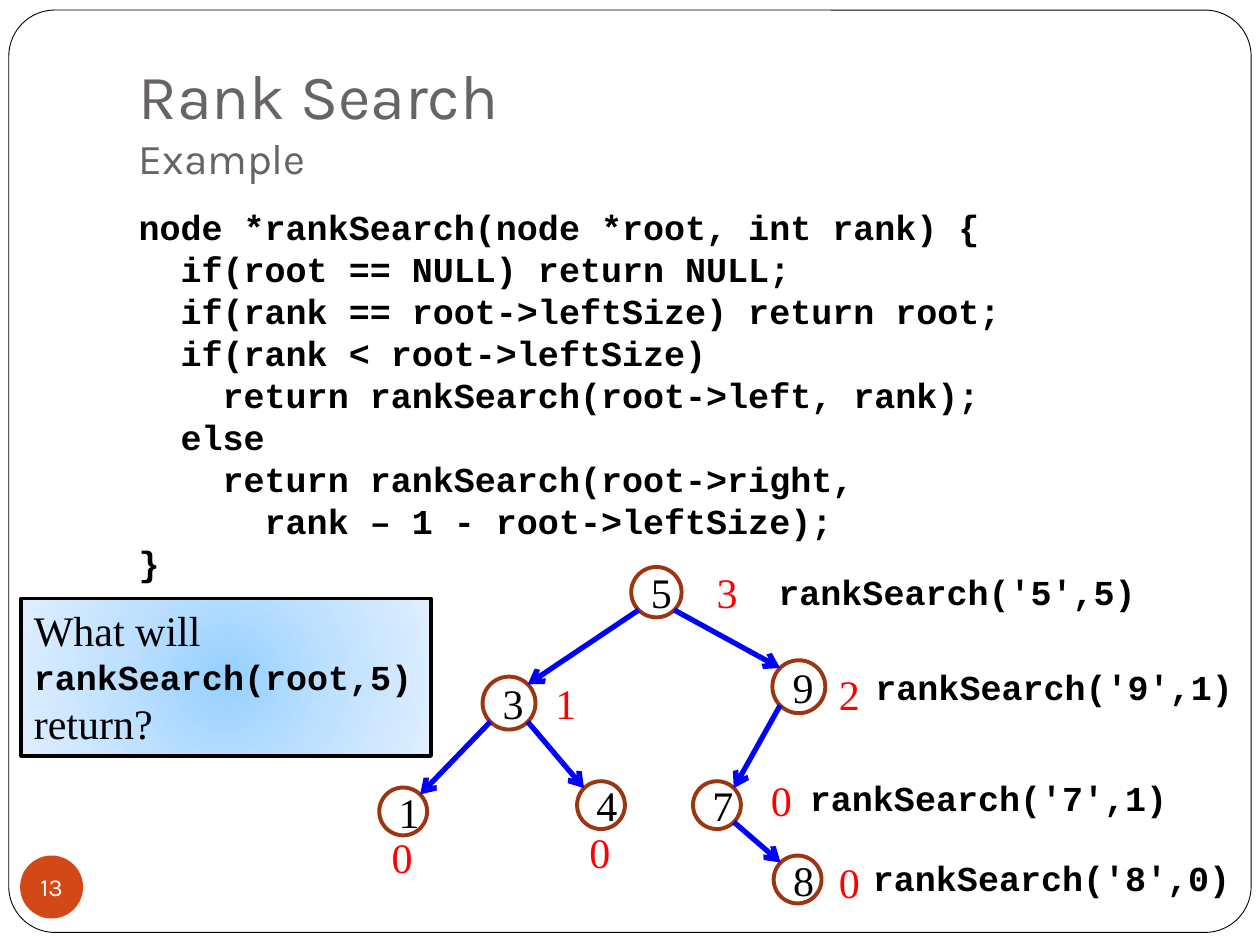
from math import sqrt

from lxml import etree
from pptx import Presentation
from pptx.dml.color import RGBColor
from pptx.enum.shapes import MSO_CONNECTOR, MSO_SHAPE
from pptx.enum.text import MSO_ANCHOR, MSO_AUTO_SIZE, PP_ALIGN
from pptx.oxml.ns import qn
from pptx.util import Inches, Pt

LINE = MSO_CONNECTOR.STRAIGHT
OVAL, RECT, ROUND = MSO_SHAPE.OVAL, MSO_SHAPE.RECTANGLE, MSO_SHAPE.ROUNDED_RECTANGLE
TOP, MIDDLE, BOTTOM = MSO_ANCHOR.TOP, MSO_ANCHOR.MIDDLE, MSO_ANCHOR.BOTTOM
LEFT, CENTER = PP_ALIGN.LEFT, PP_ALIGN.CENTER
GROW, FIXED = MSO_AUTO_SIZE.SHAPE_TO_FIT_TEXT, MSO_AUTO_SIZE.NONE

COLORS = {
    "black": "000000", "white": "FFFFFF", "title": "696464", "badge": "D34817",
    "node": "9C3511", "edge": "0000FF", "size": "FF0000",
}
GLOW = [(0, "96D0FF"), (50, "BFE1FF"), (100, "E0EFFF")]
SANS, SERIF, MONO = "Karla", "Times New Roman", "Courier New"

CODE = """node *rankSearch(node *root, int rank) {
  if(root == NULL) return NULL;
  if(rank == root->leftSize) return root;
  if(rank < root->leftSize)
    return rankSearch(root->left, rank);
  else
    return rankSearch(root->right,
      rank – 1 - root->leftSize);
}"""

# key: left, top, diameter
NODES = {
    "5": (5.01, 4.5, 0.4), "3": (3.83, 5.37, 0.42), "1": (3.01, 6.25, 0.38),
    "9": (6.13, 5.24, 0.42), "4": (4.58, 6.2, 0.38), "7": (5.5, 6.2, 0.38),
    "8": (6.14, 6.79, 0.38),
}
EDGES = ["53", "31", "59", "34", "97", "78"]
# left-subtree size, left, top
LEFT_SIZES = [
    ("3", 5.59, 4.45), ("1", 4.31, 5.33), ("0", 3.01, 6.55), ("0", 4.58, 6.51),
    ("2", 6.56, 5.26), ("0", 6.02, 6.1), ("0", 6.56, 6.75),
]
CALLS = [
    ("rankSearch('5',5)", 6.08, 4.48), ("rankSearch('9',1)", 6.85, 5.23),
    ("rankSearch('7',1)", 6.33, 6.11), ("rankSearch('8',0)", 6.83, 6.75),
]


def rgb(name):
    """Return the named colour."""
    return RGBColor.from_string(COLORS[name])


def box(*lengths):
    """Convert lengths in inches."""
    return [Inches(n) for n in lengths]


class Deck:
    """Holds the style and the current slide."""

    def __init__(self, prs):
        self.slide = prs.slides.add_slide(prs.slide_layouts[1])
        self.shapes = self.slide.shapes

    def font(self, font, name, size, color="black", bold=False):
        """Style a paragraph or run font."""
        font.name, font.size, font.bold = name, Pt(size), bold
        font.color.rgb = rgb(color)

    def place(self, sp, at, anchor):
        """Move a placeholder and return its first paragraph."""
        sp.left, sp.top, sp.width, sp.height = box(*at)
        tf = sp.text_frame
        tf.auto_size, tf.vertical_anchor, tf.word_wrap = FIXED, anchor, True
        p = tf.paragraphs[0]
        p.alignment = LEFT
        return p

    def title(self, text, subtitle, at):
        """Fill the title with a smaller second line."""
        p = self.place(self.shapes.title, at, BOTTOM)
        self.shapes.title.text_frame.margin_bottom = Inches(0.1)
        r = p.add_run()
        r.text = text
        self.font(r.font, SANS, 36, "title")
        p.add_line_break()
        r = p.add_run()
        r.text = subtitle
        self.font(r.font, SANS, 24.3, "title")

    def code(self, text, at):
        """Fill the body with an unbulleted code listing."""
        p = self.place(self.slide.placeholders[1], at, TOP)
        p.text = text.replace("\n", "\v")
        p.line_spacing, p.space_before = 1.0, Pt(3)
        self.font(p.font, MONO, 20, bold=True)
        pPr = p._p.get_or_add_pPr()
        pPr.set("marL", "0")
        pPr.set("indent", "0")
        pPr.find(qn("a:defRPr")).addprevious(etree.Element(qn("a:buNone")))

    def shape(self, kind, at, fill=None, line=None, weight=2.25):
        """Add a preset shape without shadow."""
        sp = self.shapes.add_shape(kind, *box(*at))
        sp.shadow.inherit = False
        if fill:
            sp.fill.solid()
            sp.fill.fore_color.rgb = rgb(fill)
        else:
            sp.fill.background()
        if line:
            sp.line.color.rgb = rgb(line)
            sp.line.width = Pt(weight)
        else:
            sp.line.fill.background()
        return sp

    def disc(self, text, at, name, size, color="black", **style):
        """Add a circle with centred text."""
        sp = self.shape(OVAL, at, **style)
        tf = sp.text_frame
        tf.vertical_anchor = MIDDLE
        p = tf.paragraphs[0]
        p.text, p.alignment = text, CENTER
        self.font(p.font, name, size, color)
        return tf

    def edge(self, parent, child):
        """Draw an arrow between the diagonal points of two nodes."""
        (x1, y1, d1), (x2, y2, d2) = NODES[parent], NODES[child]
        r1, r2 = d1 / 2, d2 / 2
        side = 1 if x2 > x1 else -1
        k = 1 / sqrt(2)
        ends = (x1 + r1 + side * k * r1, y1 + r1 + k * r1,
                x2 + r2 - side * k * r2, y2 + r2 - k * r2)
        cx = self.shapes.add_connector(LINE, *box(*ends))
        cx.line.color.rgb = rgb("edge")
        cx.line.width = Pt(3)
        etree.SubElement(cx.line._get_or_add_ln(), qn("a:tailEnd"), type="arrow")
        etree.SubElement(cx._element.spPr, qn("a:effectLst"))

    def label(self, text, at, name, size, color="black", bold=False):
        """Add a one-line text box."""
        tf = self.shapes.add_textbox(*box(*at)).text_frame
        tf.word_wrap, tf.auto_size = False, GROW
        p = tf.paragraphs[0]
        p.text = text
        self.font(p.font, name, size, color, bold)

    def callout(self, parts, at):
        """Add a box with a radial glow and mixed fonts."""
        sp = self.shape(RECT, at, line="black")
        grad = etree.Element(qn("a:gradFill"), rotWithShape="1")
        stops = etree.SubElement(grad, qn("a:gsLst"))
        for pos, color in GLOW:
            gs = etree.SubElement(stops, qn("a:gs"), pos=str(pos * 1000))
            etree.SubElement(gs, qn("a:srgbClr"), val=color)
        radial = etree.SubElement(grad, qn("a:path"), path="circle")
        etree.SubElement(radial, qn("a:fillToRect"),
                         {side: "50000" for side in "ltrb"})
        spPr = sp._element.spPr
        spPr.replace(spPr.find(qn("a:noFill")), grad)
        tf = sp.text_frame
        tf.word_wrap, tf.auto_size, tf.vertical_anchor = True, GROW, TOP
        p = tf.paragraphs[0]
        p.alignment = LEFT
        for text, name, size, bold in parts:
            r = p.add_run()
            r.text = text
            self.font(r.font, name, size, bold=bold)


def main():
    """Build the slide."""
    prs = Presentation()
    prs.slide_width, prs.slide_height = box(10, 7.5)
    deck = Deck(prs)
    frame = deck.shape(ROUND, (0.07, 0.08, 9.86, 7.32), line="black", weight=0.5)
    frame.adjustments[0] = 0.05
    deck.title("Rank Search", "Example", (1, 0.3, 8.5, 1.25))
    deck.code(CODE, (1, 1.58, 8.5, 5))
    badge = deck.disc("13", (0.16, 6.79, 0.5, 0.5), SANS, 14, "white", fill="badge")
    badge.word_wrap = False
    badge.margin_left = badge.margin_right = badge.margin_top = badge.margin_bottom = 0
    for key, (x, y, d) in NODES.items():
        deck.disc(key, (x, y, d, d), SERIF, 24, line="node")
    for parent, child in EDGES:
        deck.edge(parent, child)
    for size, x, y in LEFT_SIZES:
        deck.label(size, (x, y, 0.36, 0.5), SERIF, 24, "size")
    deck.callout([("What will ", SERIF, 24, False),
                  ("rankSearch(root,5) ", MONO, 20, True),
                  ("return?", SERIF, 24, False)], (0.17, 4.75, 3.25, 1.25))
    for call, x, y in CALLS:
        deck.label(call, (x, y, 3.06, 0.44), MONO, 20, bold=True)
    prs.save("out.pptx")


main()
